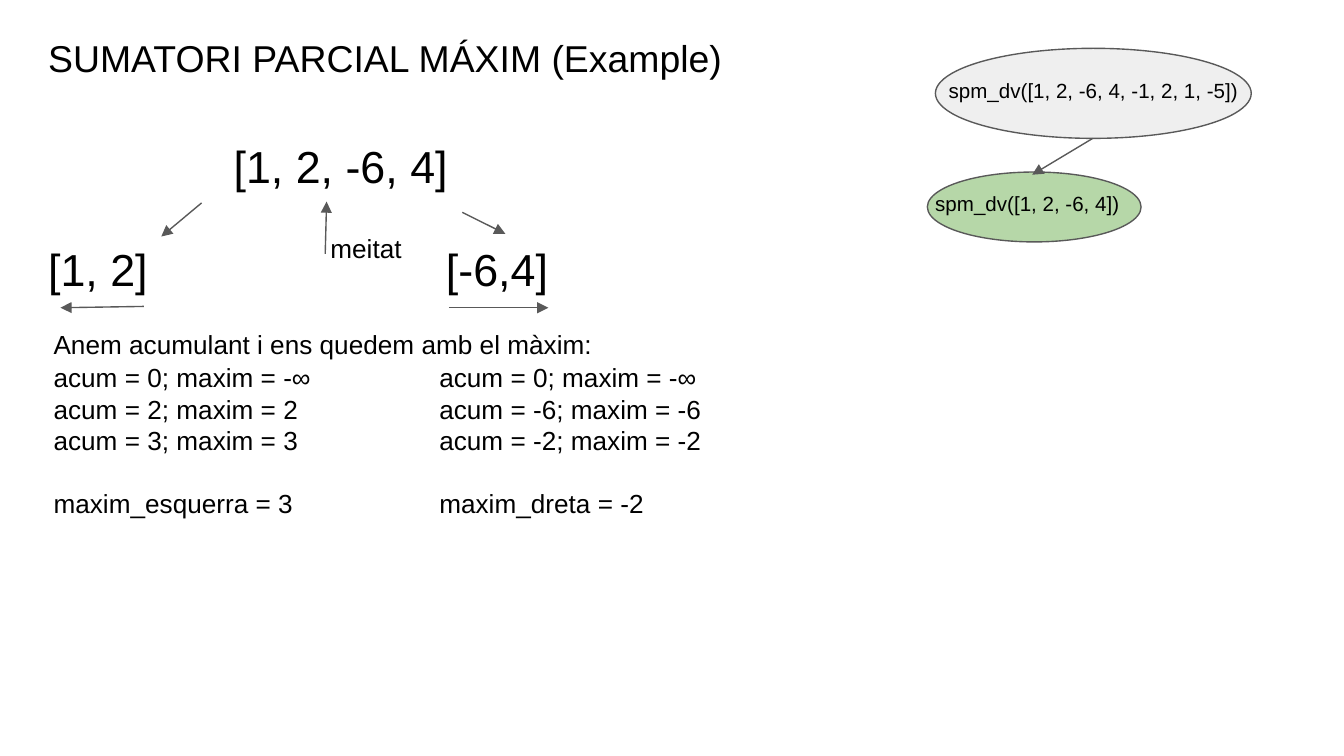
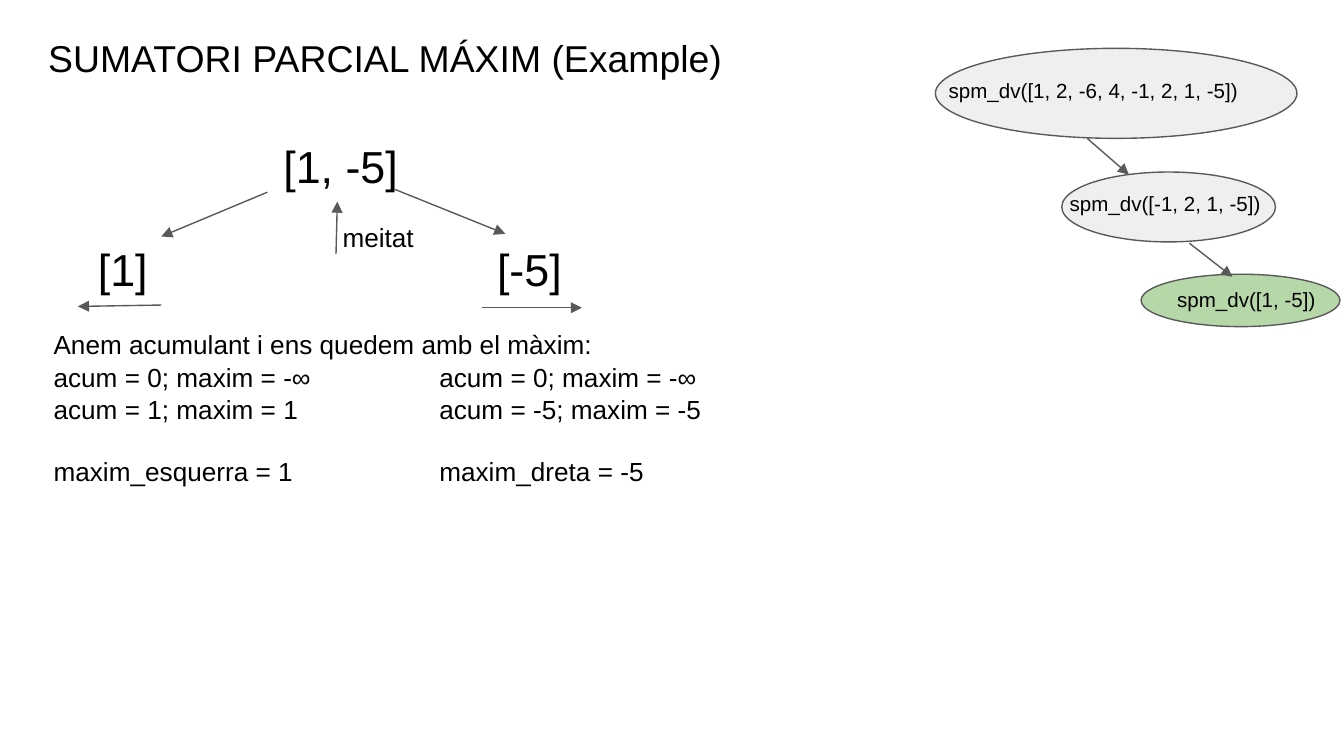
from lxml import etree
from pptx import Presentation
from pptx.dml.color import RGBColor
from pptx.enum.shapes import MSO_CONNECTOR, MSO_SHAPE
from pptx.oxml.ns import qn
from pptx.util import Emu, Inches, Pt

STRAIGHT = MSO_CONNECTOR.STRAIGHT
ELLIPSE = MSO_SHAPE.OVAL
FONT = "Arial"
COLORS = {"text": "000000", "line": "595959", "pending": "EFEFEF", "active": "B6D7A8"}

TITLE = "SUMATORI PARCIAL MÁXIM (Example)"
HEADING = "Anem acumulant i ens quedem amb el màxim:"
MIDDLE = "meitat"
START = "acum = 0; maxim = -∞"
FIRST_CALL = "spm_dv([1, 2, -6, 4, -1, 2, 1, -5])"

MARGIN = 0.26
BODY = 0.3
ROW = 0.52
INDENT = 0.37
COLUMNS = [(BODY, 1.72), (3.17, 1.41)]
LEVELS = [
    {"top": 0.36, "height": 0.67, "shift": (0, 0.13)},
    {"top": 1.28, "height": 0.52, "shift": (-0.04, 0.05)},
    {"top": 2.04, "height": 0.39, "shift": (0.17, 0)},
]

EXAMPLES = [
    {
        "list": "[1, 2, -6, 4]",
        "halves": "[1, 2]\t[-6,4]",
        "tabs": [2.96],
        "steps": [
            ([START, "acum = 2; maxim = 2", "acum = 3; maxim = 3"], "maxim_esquerra = 3"),
            ([START, "acum = -6; maxim = -6", "acum = -2; maxim = -2"], "maxim_dreta = -2"),
        ],
        "middle": (2.36, 1.63, 4.42),
        "calls": [(FIRST_CALL, 6.96, 2.35), ("spm_dv([1, 2, -6, 4])", 6.9, 1.59)],
        "arrows": [
            (1.5, 1.51, 1.2, 1.76),
            (3.44, 1.58, 3.76, 1.74),
            (2.42, 1.89, 2.43, 1.5),
            (1.07, 2.28, 0.45, 2.29),
            (3.34, 2.29, 4.08, 2.29),
            (8.13, 1.03, 7.68, 1.3),
        ],
    },
    {
        "list": "\t[1, -5]",
        "halves": "\t[1]\t[-5]",
        "tabs": [INDENT, 3.34],
        "steps": [
            ([START, "acum = 1; maxim = 1"], "maxim_esquerra = 1"),
            ([START, "acum = -5; maxim = -5"], "maxim_dreta = -5"),
        ],
        "middle": (2.45, 1.55, 0.79),
        "calls": [
            (FIRST_CALL, 6.96, 2.69),
            ("spm_dv([-1, 2, 1, -5])", 7.9, 1.59),
            ("spm_dv([1, -5])", 8.49, 1.48),
        ],
        "arrows": [
            (1.99, 1.43, 1.2, 1.76),
            (2.94, 1.41, 3.76, 1.74),
            (2.5, 1.89, 2.51, 1.5),
            (1.2, 2.27, 0.58, 2.28),
            (3.59, 2.29, 4.33, 2.29),
            (8.09, 1.03, 8.4, 1.3),
            (8.85, 1.81, 9.17, 2.06),
        ],
    },
]


def color(name):
    return RGBColor.from_string(COLORS[name])


def add_text(slide, text, left, top, width, height=ROW, size=14, tabs=(), result=None):
    box = slide.shapes.add_textbox(*map(Inches, (left, top, width, height)))
    frame = box.text_frame
    frame.word_wrap = True
    frame.margin_left = frame.margin_right = Inches(0.1)
    frame.margin_top = frame.margin_bottom = Inches(0.1)
    lines = [text] if isinstance(text, str) else list(text)
    if result:
        lines.append(result)
    for index, line in enumerate(lines):
        para = frame.add_paragraph() if index else frame.paragraphs[0]
        span = para.add_run()
        span.text = line
        span.font.name = FONT
        span.font.size = Pt(size)
        span.font.color.rgb = color("text")
        if tabs:
            stops = etree.SubElement(para._p.get_or_add_pPr(), qn("a:tabLst"))
            for stop in tabs:
                etree.SubElement(stops, qn("a:tab"), pos=str(Inches(stop)), algn="l")
    if result:
        para.space_before = Pt(size * 1.2)


def add_arrow(slide, ends):
    arrow = slide.shapes.add_connector(STRAIGHT, *map(Inches, ends))
    arrow.line.color.rgb = color("line")
    arrow.line.width = Pt(0.75)
    etree.SubElement(arrow.line._get_or_add_ln(), qn("a:tailEnd"), type="triangle")
    etree.SubElement(arrow._element.spPr, qn("a:effectLst"))


def add_call(slide, text, left, width, level, fill):
    top, height = level["top"], level["height"]
    node = slide.shapes.add_shape(ELLIPSE, *map(Inches, (left, top, width, height)))
    node.shadow.inherit = False
    node.fill.solid()
    node.fill.fore_color.rgb = color(fill)
    node.line.color.rgb = color("line")
    node.line.width = Pt(0.75)
    across, down = level["shift"]
    add_text(slide, text, left + across, top + down, 2.81, 0.33, size=11)


def build_slide(deck, example):
    slide = deck.slides.add_slide(deck.slide_layouts[6])
    add_text(slide, TITLE, MARGIN, 0.16, 8.32, size=20)
    add_text(slide, example["list"], 1.64, 0.93, 2.12, size=24, tabs=[INDENT])
    add_text(slide, example["halves"], MARGIN, 1.7, 4.88, size=24, tabs=example["tabs"])
    for (left, height), (steps, result) in zip(COLUMNS, example["steps"]):
        add_text(slide, steps, left, 2.59, 2.62, height, result=result)
    add_text(slide, MIDDLE, *example["middle"])
    add_text(slide, HEADING, BODY, 2.34, 4.42)
    calls = example["calls"]
    for depth, (call, level) in enumerate(zip(calls, LEVELS), 1):
        add_call(slide, *call, level, "active" if depth == len(calls) else "pending")
    for ends in example["arrows"]:
        add_arrow(slide, ends)


def main():
    deck = Presentation()
    deck.slide_width = Inches(10)
    deck.slide_height = Emu(deck.slide_width * 9 // 16)
    for example in EXAMPLES:
        build_slide(deck, example)
    deck.save("out.pptx")


if __name__ == "__main__":
    main()
